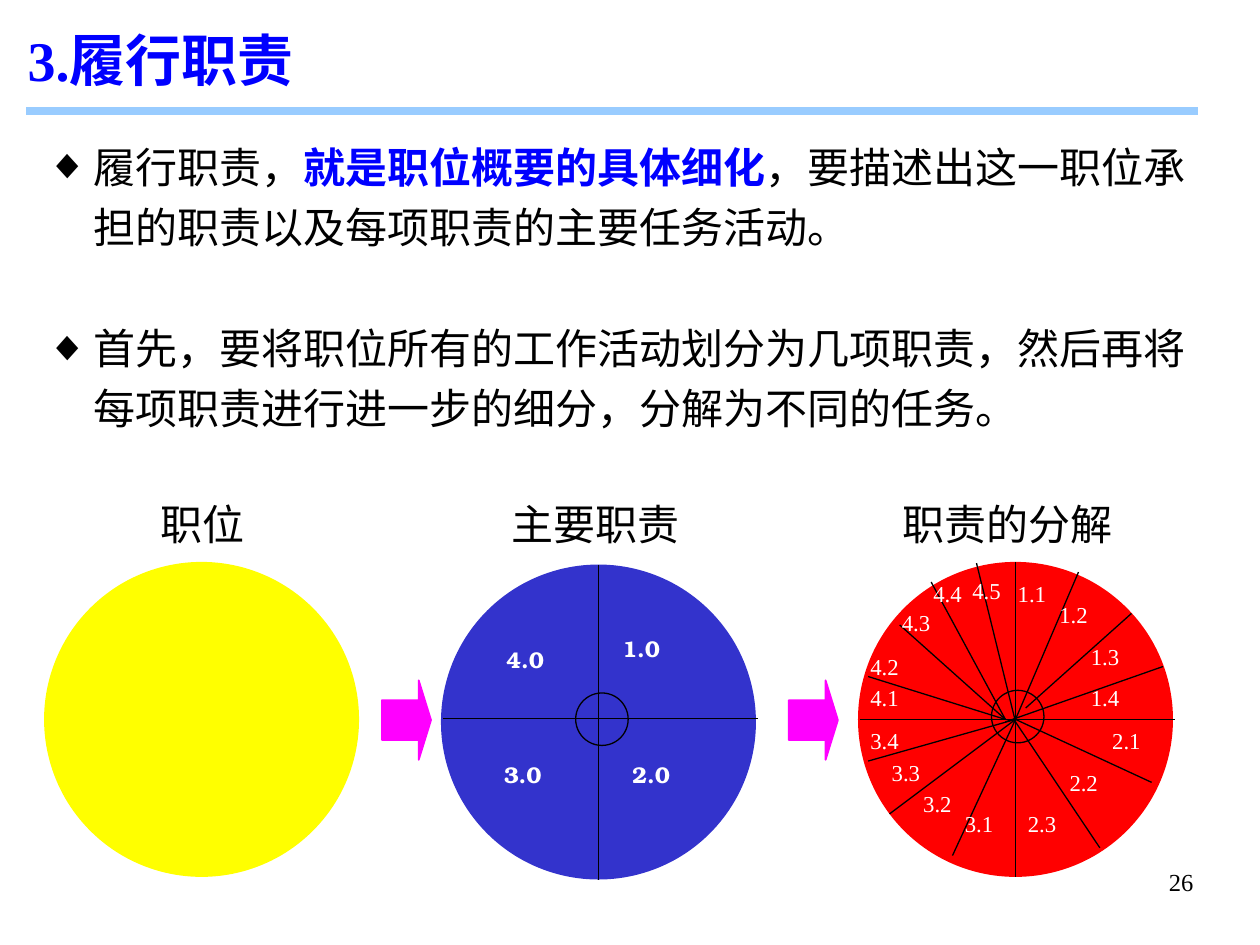
from dataclasses import dataclass

from lxml.etree import SubElement
from pptx import Presentation
from pptx.dml.color import RGBColor
from pptx.enum.shapes import MSO_CONNECTOR, MSO_SHAPE
from pptx.enum.text import MSO_ANCHOR, MSO_AUTO_SIZE, PP_ALIGN
from pptx.oxml.ns import qn
from pptx.util import Pt


@dataclass(frozen=True)
class Theme:
    ink: str = "000000"
    accent: str = "0000FF"
    rule: str = "99CCFF"
    position: str = "FFFF00"
    duties: str = "3333CC"
    tasks: str = "FF0000"
    arrow: str = "FF00FF"
    on_disc: str = "FFFFFF"
    serif: str = "Times New Roman"
    display: str = "TeX Gyre Bonum"
    title_size: float = 32
    body_size: float = 24
    page_size: float = 14
    label_size: float = 13


THEME = Theme()
DISC = 180
HUB = 30

DUTIES = [
    ("4.0", 30.2, 36, 36),
    ("1.0", 96.5, 36, 24),
    ("2.0", 102.2, 102.2, 36),
    ("3.0", 28.8, 102.2, 36),
]
TASKS = [
    ("1.1", 84.2, 5.8), ("1.2", 108, 18), ("1.3", 126, 41.8), ("1.4", 126, 65.5),
    ("2.1", 138.2, 90), ("2.2", 113.8, 113.8), ("2.3", 90, 137.5),
    ("3.1", 54, 137.5), ("3.2", 30.2, 126), ("3.3", 12.2, 108), ("3.4", 0, 90),
    ("4.1", 0, 65.5), ("4.2", 0, 47.5), ("4.3", 18, 22.3), ("4.4", 36, 5.8),
    ("4.5", 58.3, 4.3),
]
SPOKES = [
    (90, 90, 126, 5.8), (95.8, 83.5, 156.2, 29.5), (84.2, 91.4, 174.2, 59.8),
    (90, 90, 167.8, 126), (90, 91.4, 138.2, 163.4), (90, 90, 54, 167.8),
    (90, 90, 18, 144), (90, 90, 5.8, 113.8), (84.2, 90, 5.8, 65.5),
    (84.2, 90, 23.8, 36), (84.2, 90, 41.8, 11.5), (90, 91.4, 67.7, 0.7),
]


def style(font, color, size, face=THEME.serif, bold=False):
    font.name = face
    font.size = Pt(size)
    font.bold = bold
    font.color.rgb = RGBColor.from_string(color)


def place(part, box):
    part.left, part.top, part.width, part.height = (Pt(value) for value in box)


def add_line(shapes, start, end, color=THEME.ink, width=0.75):
    line = shapes.add_connector(
        MSO_CONNECTOR.STRAIGHT, *(Pt(value) for value in (*start, *end)))
    line.line.color.rgb = RGBColor.from_string(color)
    line.line.width = Pt(width)
    SubElement(line._element.spPr, qn("a:effectLst"))


def add_solid(shapes, preset, box, fill=None, outline=None, width=0.75):
    solid = shapes.add_shape(preset, *(Pt(value) for value in box))
    solid.shadow.inherit = False
    if fill:
        solid.fill.solid()
        solid.fill.fore_color.rgb = RGBColor.from_string(fill)
    else:
        solid.fill.background()
    if outline:
        solid.line.color.rgb = RGBColor.from_string(outline)
        solid.line.width = Pt(width)
    else:
        solid.line.fill.background()
    return solid


def add_text(shapes, box, text, color, size, align=PP_ALIGN.LEFT,
             anchor=MSO_ANCHOR.TOP, face=THEME.serif, bold=False):
    frame = shapes.add_textbox(*(Pt(value) for value in box)).text_frame
    frame.text = text
    frame.vertical_anchor = anchor
    frame.word_wrap = True
    frame.paragraphs[0].alignment = align
    style(frame.paragraphs[0].runs[0].font, color, size, face, bold)


def add_heading(slide, box):
    title = slide.shapes.title
    place(title, box)
    frame = title.text_frame
    frame.text = "3.履行职责"
    frame.vertical_anchor = MSO_ANCHOR.MIDDLE
    frame.auto_size = MSO_AUTO_SIZE.NONE
    frame.paragraphs[0].alignment = PP_ALIGN.LEFT
    style(frame.paragraphs[0].runs[0].font, THEME.accent, THEME.title_size, bold=True)
    left, top, width, height = box
    rule_y = top + height + 5.8
    add_line(slide.shapes, (left + 6.5, rule_y), (left + width + 7.2, rule_y),
             THEME.rule, 4.5)


def add_bullet(paragraph, gap, parts):
    properties = paragraph._p.get_or_add_pPr()
    properties.set("marL", str(Pt(27)))
    properties.set("indent", str(Pt(-27)))
    bullet_color = SubElement(properties, qn("a:buClr"))
    SubElement(bullet_color, qn("a:srgbClr"), val=THEME.ink)
    SubElement(properties, qn("a:buChar"), char="◆")
    paragraph.line_spacing = 1.2
    paragraph.space_before = Pt(gap)
    for text, emphasis in parts:
        run = paragraph.add_run()
        run.text = text
        style(run.font, THEME.accent if emphasis else THEME.ink,
              THEME.body_size, bold=emphasis)


def add_explanation(slide, box):
    body = slide.placeholders[1]
    place(body, box)
    frame = body.text_frame
    frame.auto_size = MSO_AUTO_SIZE.NONE
    add_bullet(frame.paragraphs[0], 0, [
        ("履行职责，", False),
        ("就是职位概要的具体细化", True),
        ("，要描述出这一职位承担的职责以及每项职责的主要任务活动。", False),
    ])
    add_bullet(frame.add_paragraph(), 34.5, [
        ("首先，要将职位所有的工作活动划分为几项职责，"
         "然后再将每项职责进行进一步的细分，分解为不同的任务。", False),
    ])


def add_disc(shapes, left, top, fill):
    add_solid(shapes, MSO_SHAPE.OVAL, (left, top, DISC, DISC), fill)


def add_cross_and_hub(shapes, left, top, level, hub_x):
    middle = left + DISC / 2
    add_line(shapes, (left + 1.4, top + level), (left + DISC + 1.4, top + level))
    add_line(shapes, (middle, top), (middle, top + DISC))
    add_solid(shapes, MSO_SHAPE.OVAL, (left + hub_x, top + 73.4, HUB, HUB),
              outline=THEME.ink)


def add_duties(slide, left, top):
    shapes = slide.shapes.add_group_shape().shapes
    add_disc(shapes, left, top, THEME.duties)
    add_cross_and_hub(shapes, left, top, 87.8, 77)
    for number, x, y, height in DUTIES:
        add_text(shapes, (left + x, top + y, 60, height), number, THEME.on_disc,
                 THEME.label_size, anchor=MSO_ANCHOR.MIDDLE,
                 face=THEME.display, bold=True)


def add_tasks(slide, left, top):
    shapes = slide.shapes.add_group_shape().shapes
    add_disc(shapes, left, top, THEME.tasks)
    add_cross_and_hub(shapes, left, top, 90, 76.3)
    for x1, y1, x2, y2 in SPOKES:
        add_line(shapes, (left + x1, top + y1), (left + x2, top + y2))
    for number, x, y in TASKS:
        add_text(shapes, (left + x, top + y, 42, 24), number, THEME.on_disc,
                 THEME.label_size, anchor=MSO_ANCHOR.MIDDLE)


def add_breakdown(slide, left, top):
    add_disc(slide.shapes, left, top, THEME.position)
    add_duties(slide, left + 226.8, top + 1.5)
    add_tasks(slide, left + 465.1, top)
    for caption, x, width in [("职位", 45.4, 90.7), ("主要职责", 255.6, 118.8),
                              ("职责的分解", 482.4, 136.1)]:
        add_text(slide.shapes, (left + x, top - 39.6, width, 36), caption,
                 THEME.ink, THEME.body_size, PP_ALIGN.CENTER)
    for x in (193, 425.5):
        arrow = add_solid(slide.shapes, MSO_SHAPE.RIGHT_ARROW,
                          (left + x, top + 67.7, 28.1, 45.4),
                          THEME.arrow, THEME.arrow, 1)
        arrow.adjustments[1] = 0.25


def main():
    deck = Presentation()
    deck.slide_width, deck.slide_height = Pt(720), Pt(540)
    slide = deck.slides.add_slide(deck.slide_layouts[1])
    add_heading(slide, (8.6, 9.4, 668.9, 48.2))
    add_explanation(slide, (19.4, 71.3, 668.9, 193))
    add_breakdown(slide, 25.2, 321.1)
    add_text(slide.shapes, (516.2, 491.8, 172.8, 36), "26", THEME.ink,
             THEME.page_size, PP_ALIGN.RIGHT)
    deck.save("out.pptx")


if __name__ == "__main__":
    main()
